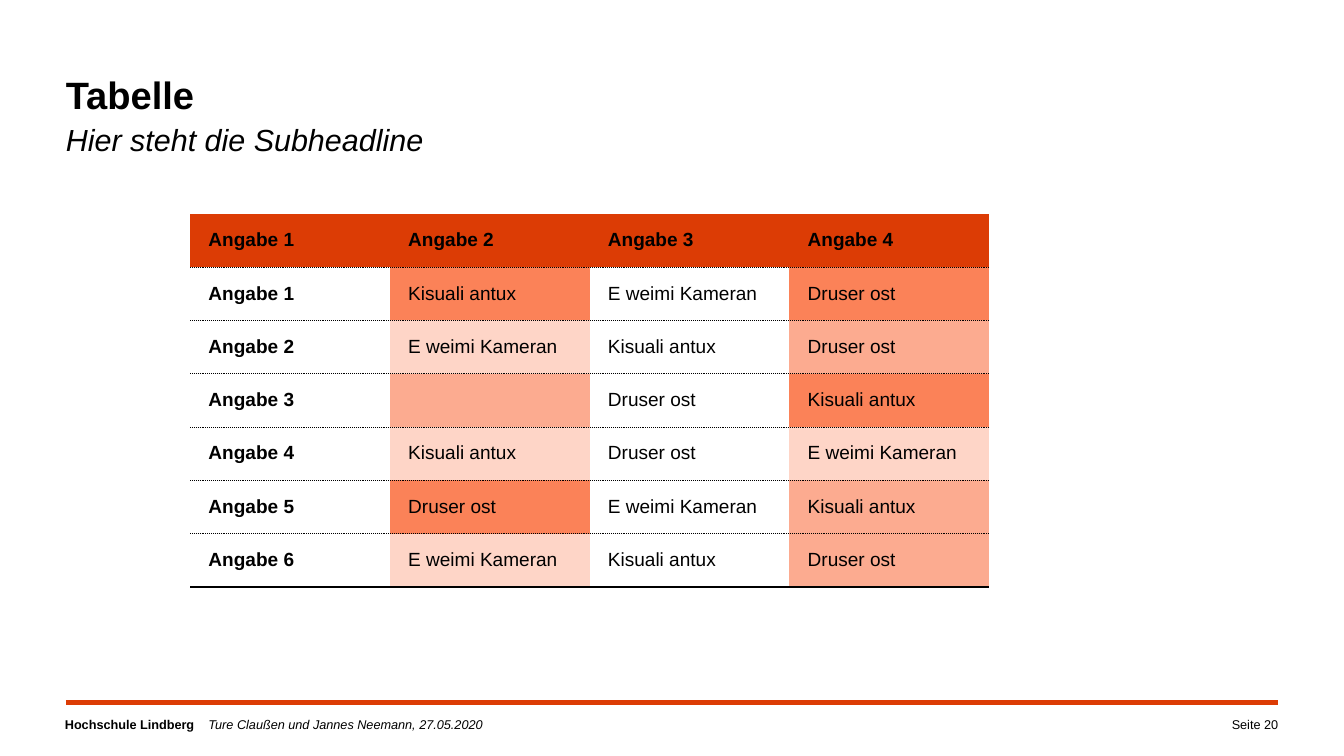
from lxml import etree
from pptx import Presentation
from pptx import util as u
from pptx.dml.color import RGBColor
from pptx.enum import shapes, text
from pptx.oxml import ns

FONT = "Arial"
HUES = {"ink": "000000", "red": "DC3C05", "dark": "FB8258",
        "mid": "FCAB90", "pale": "FED5C7"}
HEAD = ["Angabe 1", "Angabe 2", "Angabe 3", "Angabe 4"]
ROWS = [
    ["Angabe 1", "Kisuali antux", "E weimi Kameran", "Druser ost"],
    ["Angabe 2", "E weimi Kameran", "Kisuali antux", "Druser ost"],
    ["Angabe 3", "", "Druser ost", "Kisuali antux"],
    ["Angabe 4", "Kisuali antux", "Druser ost", "E weimi Kameran"],
    ["Angabe 5", "Druser ost", "E weimi Kameran", "Kisuali antux"],
    ["Angabe 6", "E weimi Kameran", "Kisuali antux", "Druser ost"],
]
# Fills of the second and fourth column, row by row
TINTS = [("dark", "dark"), ("pale", "mid"), ("mid", "dark"),
         ("pale", "pale"), ("dark", "mid"), ("pale", "mid")]
PLAIN = "{2D5ABB26-0587-4C30-8999-92F81FD0307C}"


def rgb(hue):
    return RGBColor.from_string(HUES[hue])


def apply(item, form):
    for key, val in form.items():
        setattr(item, key, val)


class Page:
    def __init__(self, deck):
        self.slide = deck.slides.add_slide(deck.slide_layouts[5])

    def add_words(self, para, words, size, **form):
        run = para.add_run()
        run.text = words
        apply(run.font, {"name": FONT, "size": u.Pt(size), "bold": False,
                         "italic": False, **form})
        run.font.color.rgb = rgb("ink")

    def frame(self, shape, box):
        """Place a text shape and clear its margins; return its text frame."""
        apply(shape, dict(zip(("left", "top", "width", "height"),
                              map(u.Inches, box))))
        frame = shape.text_frame
        apply(frame, {"margin_left": 0, "margin_right": 0, "margin_top": 0,
                      "margin_bottom": 0, "word_wrap": True,
                      "auto_size": text.MSO_AUTO_SIZE.NONE,
                      "vertical_anchor": text.MSO_ANCHOR.TOP})
        return frame

    def title(self, head, sub, box):
        frame = self.frame(self.slide.shapes.title, box)
        lines = [frame.paragraphs[0], frame.add_paragraph()]
        for para in lines:
            apply(para, {"alignment": text.PP_ALIGN.LEFT, "line_spacing": 1.1,
                         "space_before": u.Pt(0)})
        self.add_words(lines[0], head, 30, bold=True)
        self.add_words(lines[1], sub, 24, italic=True)

    def label(self, box, align=text.PP_ALIGN.LEFT):
        shape = self.slide.shapes.add_textbox(0, 0, 0, 0)
        para = self.frame(shape, box).paragraphs[0]
        para.alignment = align
        return para

    def tab(self, para, pos):
        """Add a left tab stop, in inches from the text edge."""
        props = para._p.get_or_add_pPr()
        stops = etree.SubElement(props, ns.qn("a:tabLst"))
        etree.SubElement(stops, ns.qn("a:tab"), pos=str(u.Inches(pos)), algn="l")

    def rule(self, left, right, top, hue, width):
        line = self.slide.shapes.add_connector(
            shapes.MSO_CONNECTOR.STRAIGHT, u.Inches(left), u.Inches(top),
            u.Inches(right), u.Inches(top))
        line.line.color.rgb = rgb(hue)
        line.line.width = u.Pt(width)
        etree.SubElement(line._element.spPr, ns.qn("a:effectLst"))

    def edge(self, cell, side, width, dash, place):
        """Draw one cell border; borders must come before the fill."""
        line = etree.Element(ns.qn(f"a:ln{side}"), w=str(u.Pt(width)))
        fill = etree.SubElement(line, ns.qn("a:solidFill"))
        etree.SubElement(fill, ns.qn("a:srgbClr"), val=HUES["ink"])
        etree.SubElement(line, ns.qn("a:prstDash"), val=dash)
        cell._tc.get_or_add_tcPr().insert(place, line)

    def cell(self, cell, words, hue, bold):
        if hue:
            cell.fill.solid()
            cell.fill.fore_color.rgb = rgb(hue)
        else:
            cell.fill.background()
        if words:
            apply(cell, {"margin_left": u.Inches(0.2), "margin_right": u.Inches(0.2),
                         "margin_top": u.Inches(0.15),
                         "margin_bottom": u.Inches(0.15)})
            para = cell.text_frame.paragraphs[0]
            para.line_spacing = 1.1
            self.add_words(para, words, 15, bold=bold)

    def table(self, box):
        rows = [HEAD] + ROWS
        hues = [["red"] * len(HEAD)] + [[None, a, None, b] for a, b in TINTS]
        grid = self.slide.shapes.add_table(
            len(rows), len(HEAD), *map(u.Inches, box)).table
        apply(grid, {"first_row": False, "horz_banding": False})
        grid._tbl.tblPr.find(ns.qn("a:tableStyleId")).text = PLAIN
        last = len(rows) - 1
        for r, row in enumerate(rows):
            for c, words in enumerate(row):
                cell = grid.cell(r, c)
                self.cell(cell, words, hues[r][c], r == 0 or c == 0)
                if r:
                    self.edge(cell, "T", 0.5, "sysDot", 0)
                base = (2.25, "solid") if r == last else (0.5, "sysDot")
                self.edge(cell, "B", *base, 1 if r else 0)


def main():
    deck = Presentation()
    apply(deck, {"slide_width": u.Inches(14.7), "slide_height": u.Inches(8.27)})
    page = Page(deck)
    page.title("Tabelle", "Hier steht die Subheadline", (0.72, 0.73, 13.27, 1.04))
    page.table((2.08, 2.34, 8.74, 4.08))
    page.rule(0.72, 13.98, 7.68, "red", 4)
    foot = page.label((0.71, 7.84, 10.61, 0.24))
    page.tab(foot, 1.57)
    page.add_words(foot, "Hochschule Lindberg\t", 10, bold=True)
    page.add_words(foot, "Ture Claußen und Jannes Neemann, 27.05.2020", 10,
                   italic=True)
    number = page.label((12.3, 7.84, 1.68, 0.25), text.PP_ALIGN.RIGHT)
    page.add_words(number, "Seite 20", 10)
    deck.save("out.pptx")


if __name__ == "__main__":
    main()
